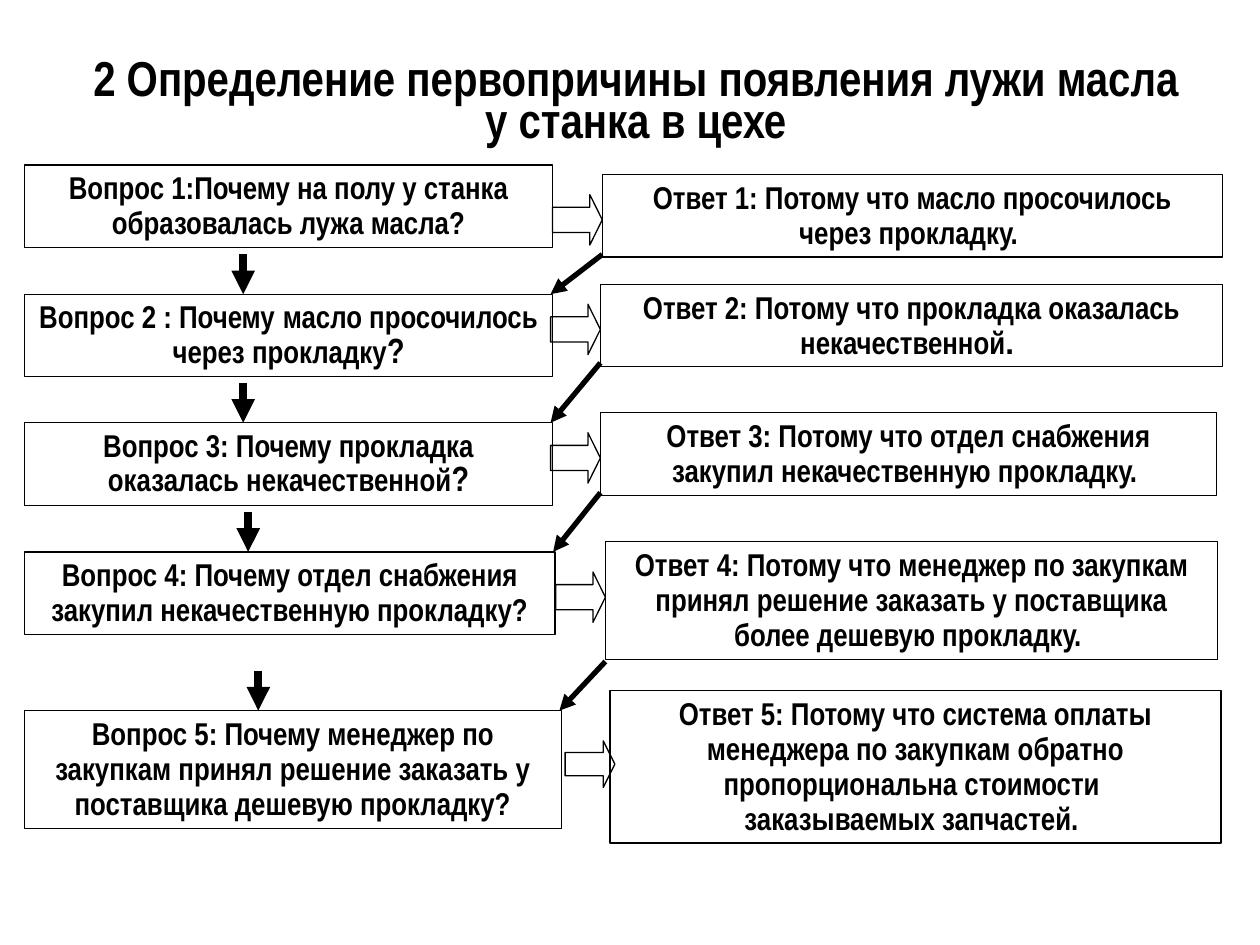
import pptx
import pptx.util
import pptx.dml.color
import pptx.enum.shapes
import pptx.enum.text
import pptx.oxml
import pptx.oxml.ns
import lxml.etree

BLACK = pptx.dml.color.RGBColor(0, 0, 0)
NARROW, PLAIN = "Arial Narrow", "Arial"
SLIDE_WIDTH = pptx.util.Inches(10)
SLIDE_HEIGHT = pptx.util.Inches(7.5)
CELL = SLIDE_WIDTH / 100  # the grid has 100 columns and 75 rows

QUESTION_LEFT = 1.95
LINE_HEIGHT = 20 / 7.2  # 20 pt of line spacing, in grid rows
BOX_INSETS = 1
BLOCK_ARROW_SIZE = 3.95
DOWN_ARROW_LENGTH = 3.15

# A text is a list of paragraphs; a paragraph is a list of runs.
# A run is plain text, or (text, size, font, bold) where it differs.
# Each step: question (top, width, lines), answer (left, top, width, lines),
# block arrow (drop below the answer's top, shift, height), the two texts.
STEPS = [
    ((13.1, 41.9, 2), (47.8, 13.85, 49.2, 2), (1.6, 0, 4),
     [["Вопрос 1:Почему на полу у станка образовалась лужа масла?"]],
     [["Ответ 1: Потому что масло просочилось через прокладку. "]]),
    ((23.35, 41.9, 2), (47.65, 22.55, 49.4, 2), (1.6, 0, 4),
     [["Вопрос 2 : Почему", (" ", 20, NARROW, True),
       "масло просочилось через прокладку", ("?", 20, NARROW, True)]],
     [["Ответ 2: Потому что прокладка оказалась некачественной",
       (". ", 18, PLAIN, True)]]),
    ((33.55, 41.9, 2), (47.65, 32.75, 48.9, 2), (1.6, 0, 4),
     [["Вопрос 3: Почему прокладка оказалась некачественной",
       ("?", 20, NARROW, True)]],
     [["Ответ 3: Потому что отдел снабжения закупил "
       "некачественную прокладку. "]]),
    ((43.8, 42.1, 2), (48.05, 43, 48.6, 3), (2.4, 0, 4),
     [["Вопрос 4: Почему отдел снабжения закупил некачественную прокладку?"]],
     [["Ответ 4: Потому что менеджер по закупкам принял решение заказать "
       "у поставщика более дешевую прокладку. "]]),
    ((56.4, 42.6, 3), (48.4, 54.8, 48.5, 4), (4, 0.4, 3.7),
     [["Вопрос 5: Почему менеджер по закупкам принял решение заказать "
       "у поставщика дешевую прокладку?"]],
     [["Ответ 5: Потому что система оплаты менеджера по закупкам обратно "
       "пропорциональна стоимости "],
      ["заказываемых запчастей.", (" ", 16, PLAIN, False)]]),
]
# Links to the next question: column of the down arrow and the row
# where the diagonal arrow leaves the answer.
LINKS = [(19.3, 20.2), (19.3, 28.8), (19.7, 39.1), (20.5, 52.5)]


def grid(*cells):
    return [round(cell * CELL) for cell in cells]


def box_height(lines):
    return lines * LINE_HEIGHT + BOX_INSETS


def write_text(frame, paragraphs, size, spacing):
    frame.word_wrap = True
    for index, runs in enumerate(paragraphs):
        para = frame.paragraphs[0] if index == 0 else frame.add_paragraph()
        para.alignment = pptx.enum.text.PP_ALIGN.CENTER
        para.line_spacing = pptx.util.Pt(spacing)
        for run in runs:
            if isinstance(run, str):
                run = (run, size, NARROW, True)
            span = para.add_run()
            span.text = run[0]
            span.font.size = pptx.util.Pt(run[1])
            span.font.name = run[2]
            span.font.bold = run[3]
            span.font.color.rgb = BLACK


def add_outline(page, kind, area):
    shape = page.shapes.add_shape(kind, *grid(*area))
    shape.shadow.inherit = False
    shape.fill.background()
    shape.line.color.rgb = BLACK
    shape.line.width = pptx.util.Pt(0.75)
    return shape


def add_statement(page, left, top, width, lines, paragraphs):
    box = add_outline(page, pptx.enum.shapes.MSO_SHAPE.RECTANGLE,
                      (left, top, width, box_height(lines)))
    frame = box.text_frame
    write_text(frame, paragraphs, 18, 20)
    frame.vertical_anchor = pptx.enum.text.MSO_ANCHOR.TOP
    frame.auto_size = pptx.enum.text.MSO_AUTO_SIZE.SHAPE_TO_FIT_TEXT


def add_arrow(page, start, end, width):
    arrow = page.shapes.add_connector(
        pptx.enum.shapes.MSO_CONNECTOR.STRAIGHT, *grid(*start, *end))
    arrow.line.color.rgb = BLACK
    arrow.line.width = pptx.util.Pt(width)
    qn = pptx.oxml.ns.qn
    line = arrow._element.spPr.find(qn("a:ln"))
    lxml.etree.SubElement(line, qn("a:tailEnd"), type="triangle")
    lxml.etree.SubElement(arrow._element.spPr, qn("a:effectLst"))


def add_title(page, area):
    box = page.shapes.add_textbox(*grid(*area))
    write_text(box.text_frame, [[
        "2 Определение первопричины появления лужи масла у станка в цехе"]],
        28, 24)
    box.text_frame.vertical_anchor = pptx.enum.text.MSO_ANCHOR.MIDDLE


def add_step(page, question, answer, block, question_text, answer_text):
    add_statement(page, QUESTION_LEFT, *question, question_text)
    add_statement(page, *answer, answer_text)
    # The block arrow reaches the answer's left side
    drop, shift, height = block
    arrow = add_outline(page, pptx.enum.shapes.MSO_SHAPE.RIGHT_ARROW,
                        (answer[0] - BLOCK_ARROW_SIZE + shift,
                         answer[1] + drop, BLOCK_ARROW_SIZE, height))
    arrow.adjustments[0] = 0.5
    arrow.adjustments[1] = 0.25


def add_link(page, answer, question, link):
    down_column, start_row = link
    top, width = question[:2]
    add_arrow(page, (down_column, top - DOWN_ARROW_LENGTH),
              (down_column, top), 4.5)
    corner = QUESTION_LEFT + width - 0.15
    add_arrow(page, (answer[0], start_row), (corner, top), 3)


def main():
    deck = pptx.Presentation()
    deck.slide_width, deck.slide_height = SLIDE_WIDTH, SLIDE_HEIGHT
    page = deck.slides.add_slide(deck.slide_layouts[6])

    add_title(page, (5.1, 3.65, 90.7, 9.6))

    # Questions with their answers
    for step in STEPS:
        add_step(page, *step)

    # Arrows from each step to the next question
    for step, following, link in zip(STEPS, STEPS[1:], LINKS):
        add_link(page, step[1], following[0], link)

    deck.save("out.pptx")


if __name__ == "__main__":
    main()
